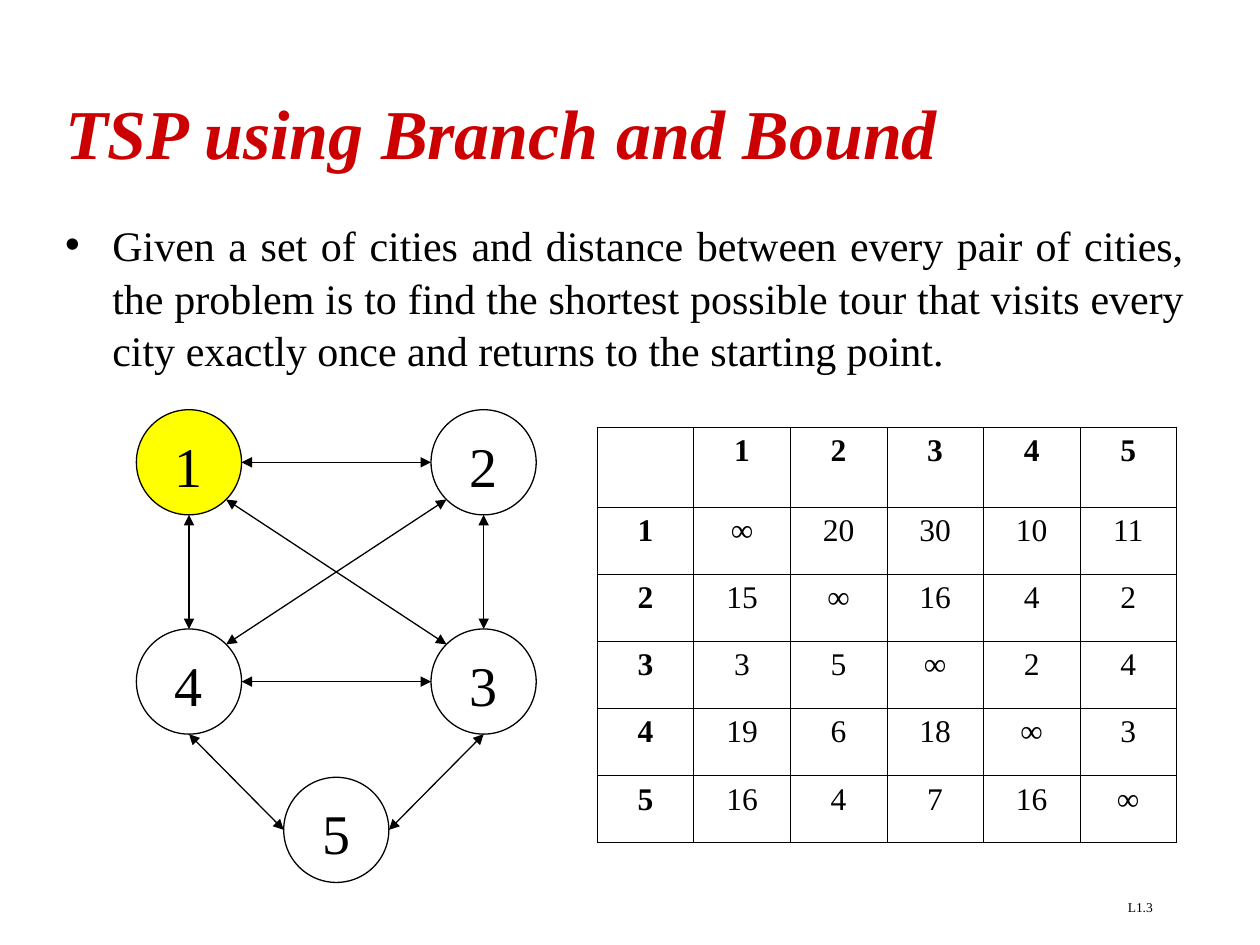
import dataclasses
import math

import lxml.etree
import pptx
import pptx.dml.color
import pptx.enum.shapes
import pptx.enum.text
import pptx.oxml.ns
import pptx.util

Cm = pptx.util.Cm
Pt = pptx.util.Pt
ALIGN = pptx.enum.text.PP_ALIGN
ANCHOR = pptx.enum.text.MSO_ANCHOR


@dataclasses.dataclass(frozen=True)
class Theme:
    font: str = "Times New Roman"
    ink: str = "000000"
    heading: str = "CC0000"
    start: str = "FFFF00"
    title_size: float = 40
    body_size: float = 24
    city_size: float = 32
    table_size: float = 18
    footer_size: float = 7.7
    line_width: float = 0.75
    border_width: float = 0.45


THEME = Theme()

COSTS = [
    ["∞", "20", "30", "10", "11"],
    ["15", "∞", "16", "4", "2"],
    ["3", "5", "∞", "2", "4"],
    ["19", "6", "18", "∞", "3"],
    ["16", "4", "7", "16", "∞"],
]

# City, angle where the road leaves it; then the same for the other end
ROADS = [
    ("1", 0, "2", 180),
    ("1", 90, "4", -90),
    ("4", 0, "3", 180),
    ("2", 90, "3", -90),
    ("1", 45, "3", -135),
    ("4", -45, "2", 135),
    ("4", 90, "5", 180),
    ("3", 90, "5", 0),
]


def rgb(value):
    return pptx.dml.color.RGBColor.from_string(value)


def add_xml(parent, tag, **attributes):
    return lxml.etree.SubElement(parent, pptx.oxml.ns.qn(tag), attributes)


def place(shape, box):
    shape.left, shape.top, shape.width, shape.height = map(Cm, box)


def write(frame, text, size, align, color=THEME.ink, bold=False, italic=False):
    frame.text = text
    para = frame.paragraphs[0]
    para.alignment = align
    for span in para.runs:
        font = span.font
        font.name, font.size = THEME.font, Pt(size)
        font.bold, font.italic = bold, italic
        font.color.rgb = rgb(color)
    return para


def add_title(page, box):
    title = page.shapes.title
    place(title, box)
    frame = title.text_frame
    frame.auto_size = pptx.enum.text.MSO_AUTO_SIZE.NONE
    frame.vertical_anchor = ANCHOR.MIDDLE
    write(frame, "TSP using Branch and Bound", THEME.title_size, ALIGN.LEFT,
          THEME.heading, bold=True, italic=True)


def add_statement(page, box):
    body = page.placeholders[1]
    place(body, box)
    frame = body.text_frame
    frame.auto_size = pptx.enum.text.MSO_AUTO_SIZE.NONE
    para = write(
        frame,
        "Given a set of cities and distance between every pair of cities, "
        "the problem is to find the shortest possible tour that visits every "
        "city exactly once and returns to the starting point.",
        THEME.body_size, ALIGN.JUSTIFY)
    para.space_before = Pt(0)
    para.line_spacing = 1.05
    # Hanging bullet
    properties = para._p.get_or_add_pPr()
    properties.set("marL", str(Cm(0.95)))
    properties.set("indent", str(-Cm(0.95)))
    add_xml(add_xml(properties, "a:buClr"), "a:srgbClr", val=THEME.ink)
    add_xml(properties, "a:buChar", char="•")


def add_city(page, name, center, diameter):
    left, top = (value - diameter / 2 for value in center)
    city = page.shapes.add_shape(pptx.enum.shapes.MSO_SHAPE.OVAL,
                                 *map(Cm, (left, top, diameter, diameter)))
    city.shadow.inherit = False
    if name == "1":
        city.fill.solid()
        city.fill.fore_color.rgb = rgb(THEME.start)
    else:
        city.fill.background()
    city.line.color.rgb = rgb(THEME.ink)
    city.line.width = Pt(THEME.line_width)
    city.text_frame.vertical_anchor = ANCHOR.TOP
    write(city.text_frame, name, THEME.city_size, ALIGN.CENTER)


def add_road(page, start, end):
    road = page.shapes.add_connector(pptx.enum.shapes.MSO_CONNECTOR.STRAIGHT,
                                     *map(Cm, start + end))
    road.line.color.rgb = rgb(THEME.ink)
    road.line.width = Pt(THEME.line_width)
    outline = road.line._get_or_add_ln()
    for tag in ("a:headEnd", "a:tailEnd"):
        add_xml(outline, tag, type="triangle")
    add_xml(road._element.spPr, "a:effectLst")


def add_graph(page, box, diameter=2.12, row_step=4.42):
    left, top, width, height = box
    radius = diameter / 2
    west, east = left + radius, left + width - radius
    north, south = top + radius, top + radius + row_step
    centers = {
        "1": (west, north),
        "2": (east, north),
        "3": (east, south),
        "4": (west, south),
        "5": (left + width / 2, top + height - radius),
    }

    def rim(name, degrees):
        x, y = centers[name]
        angle = math.radians(degrees)
        return x + radius * math.cos(angle), y + radius * math.sin(angle)

    for name, center in centers.items():
        add_city(page, name, center, diameter)
    for first, leaving, second, arriving in ROADS:
        add_road(page, rim(first, leaving), rim(second, arriving))


def add_cost_table(page, box, header_height=1.61):
    cities = [str(number) for number in range(1, len(COSTS) + 1)]
    rows = [[""] + cities]
    rows += [[city] + costs for city, costs in zip(cities, COSTS)]
    count = len(rows)
    table = page.shapes.add_table(count, count, *map(Cm, box)).table
    table.first_row = table.horz_banding = False
    row_height = (box[3] - header_height) / (count - 1)
    for index in range(count):
        table.columns[index].width = Cm(box[2] / count)
        table.rows[index].height = Cm(row_height if index else header_height)
    for row, values in enumerate(rows):
        for column, value in enumerate(values):
            cell = table.cell(row, column)
            write(cell.text_frame, value, THEME.table_size, ALIGN.CENTER,
                  bold=row == 0 or column == 0)
            # Thin border on every side, no fill
            properties = cell._tc.get_or_add_tcPr()
            for tag in ("a:lnL", "a:lnR", "a:lnT", "a:lnB"):
                edge = add_xml(properties, tag, w=str(Pt(THEME.border_width)))
                add_xml(add_xml(edge, "a:solidFill"), "a:srgbClr", val=THEME.ink)
            cell.fill.background()


def add_page_number(page, box):
    footer = page.shapes.add_textbox(*map(Cm, box))
    footer.text_frame.word_wrap = True
    write(footer.text_frame, "L1.3", THEME.footer_size, ALIGN.RIGHT)


def main():
    deck = pptx.Presentation()
    deck.slide_width, deck.slide_height = Cm(25.4), Cm(19.05)
    page = deck.slides.add_slide(deck.slide_layouts[1])
    add_page_number(page, (18.2, 17.99, 5.29, 0.64))
    add_title(page, (1.06, 1.06, 23.7, 3.18))
    add_statement(page, (1.06, 4.24, 23.07, 3.3))
    add_graph(page, (2.75, 8.26, 8.06, 9.53))
    add_cost_table(page, (12.04, 8.61, 11.68, 8.38))
    deck.save("out.pptx")


if __name__ == "__main__":
    main()
